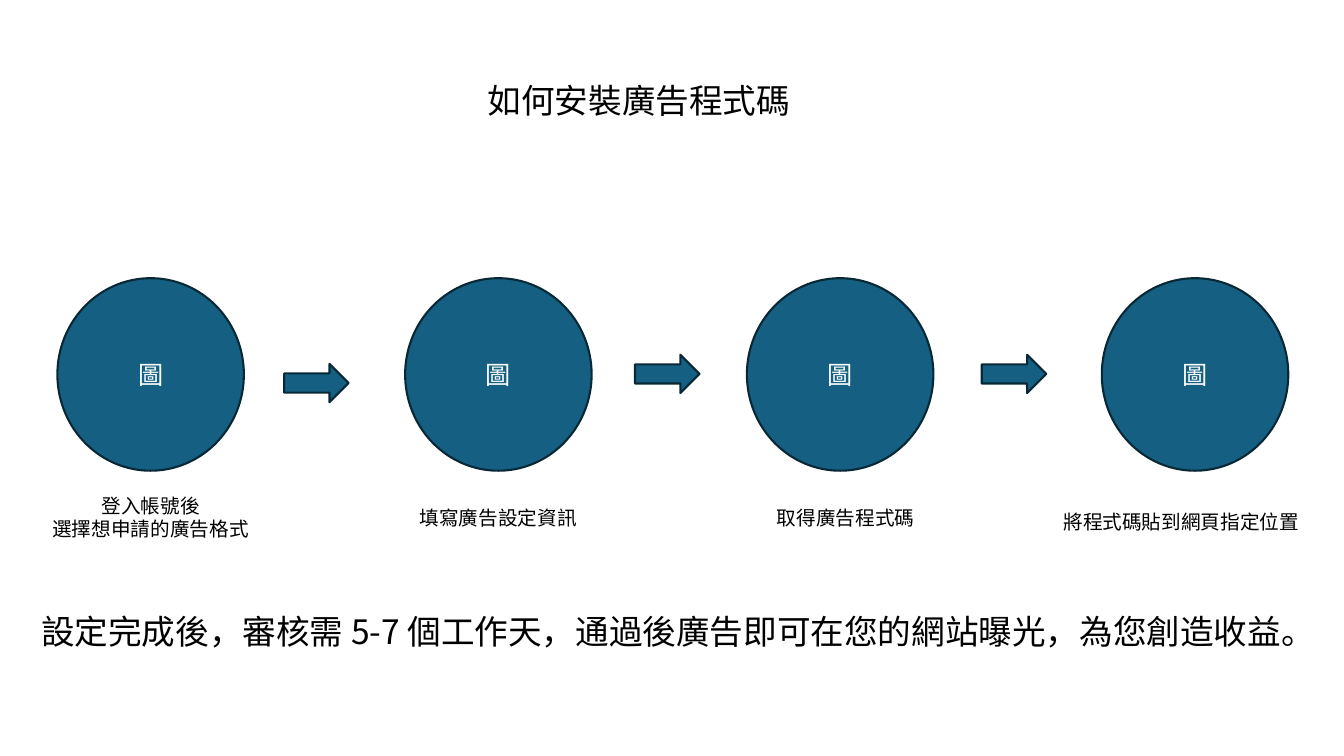
import pptx
import pptx.dml.color
import pptx.enum.shapes
import pptx.enum.text
import pptx.oxml.ns
import pptx.util
import lxml.etree

Pt = pptx.util.Pt
SHAPE = pptx.enum.shapes.MSO_SHAPE
ALIGN = pptx.enum.text.PP_ALIGN
COLORS = {"fill": "156082", "line": "082836", "text": "000000", "label": "FFFFFF"}
CJK = "Noto Sans CJK TC"
CIRCLE_W, CIRCLE_H = 133.2, 137.5
ARROW_W, ARROW_H = 46.1, 27.4
STEPS_TOP = 198.7

STEPS = [
    (41, ["登入帳號後", "選擇想申請的廣告格式"], (29.5, 349.2, 156.2, 41)),
    (289.4, ["填寫廣告設定資訊"], (292.3, 357.8, 127.4, 24.5)),
    (533.5, ["取得廣告程式碼"], (547.2, 357.8, 113.8, 24.5)),
    (787, ["將程式碼貼到網頁指定位置"], (751.7, 360.7, 184.3, 24.5)),
]
ARROWS = [(203, 259.9), (453.6, 253.4), (701.3, 253.4)]


def rgb(key):
    return pptx.dml.color.RGBColor.from_string(COLORS[key])


def add_run(p, text, size, font, color):
    r = p.add_run()
    r.text = text
    r.font.size = Pt(size)
    r.font.name = font
    r.font.color.rgb = rgb(color)
    ea = lxml.etree.SubElement(r._r.get_or_add_rPr(), pptx.oxml.ns.qn("a:ea"))
    ea.set("typeface", CJK)


def add_text(slide, box, lines, size, align=ALIGN.LEFT):
    tf = slide.shapes.add_textbox(*map(Pt, box)).text_frame
    tf.word_wrap = True
    for i, line in enumerate(lines):
        p = tf.add_paragraph() if i else tf.paragraphs[0]
        p.alignment = align
        p.line_spacing = Pt(size * 1.2)
        add_run(p, line, size, CJK, "text")


def add_block(slide, kind, box):
    sp = slide.shapes.add_shape(kind, *map(Pt, box))
    sp.shadow.inherit = False
    sp.fill.solid()
    sp.fill.fore_color.rgb = rgb("fill")
    sp.line.color.rgb = rgb("line")
    sp.line.width = Pt(1.5)
    return sp


def add_step(slide, box, lines, caption_box):
    sp = add_block(slide, SHAPE.OVAL, box)
    tf = sp.text_frame
    tf.vertical_anchor = pptx.enum.text.MSO_ANCHOR.MIDDLE
    p = tf.paragraphs[0]
    p.alignment = ALIGN.CENTER
    add_run(p, "圖", 18, "Arial", "label")
    add_text(slide, caption_box, lines, 14, ALIGN.CENTER)


def build_slide(prs):
    slide = prs.slides.add_slide(prs.slide_layouts[6])
    add_text(slide, (341.3, 53.3, 232.6, 36), ["如何安裝廣告程式碼"], 24)
    for left, lines, caption_box in STEPS:
        add_step(slide, (left, STEPS_TOP, CIRCLE_W, CIRCLE_H), lines, caption_box)
    for left, top in ARROWS:
        add_block(slide, SHAPE.RIGHT_ARROW, (left, top, ARROW_W, ARROW_H))
    closing = "設定完成後，審核需 5-7 個工作天，通過後廣告即可在您的網站曝光，為您創造收益。"
    add_text(slide, (22.3, 432.7, 954, 36), [closing], 24)


def main():
    prs = pptx.Presentation()
    prs.slide_width, prs.slide_height = Pt(960), Pt(540)
    build_slide(prs)
    prs.save("out.pptx")


if __name__ == "__main__":
    main()
